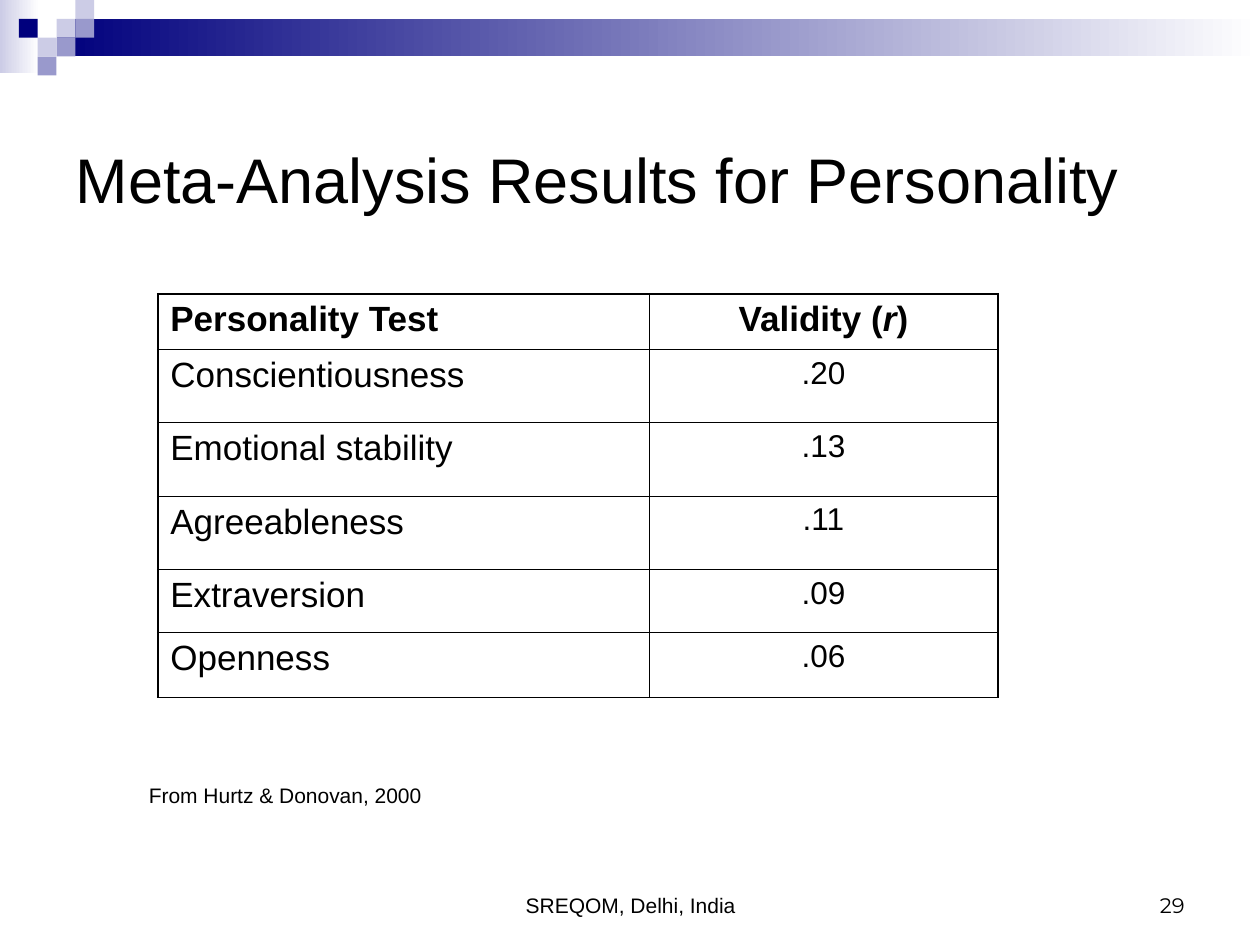
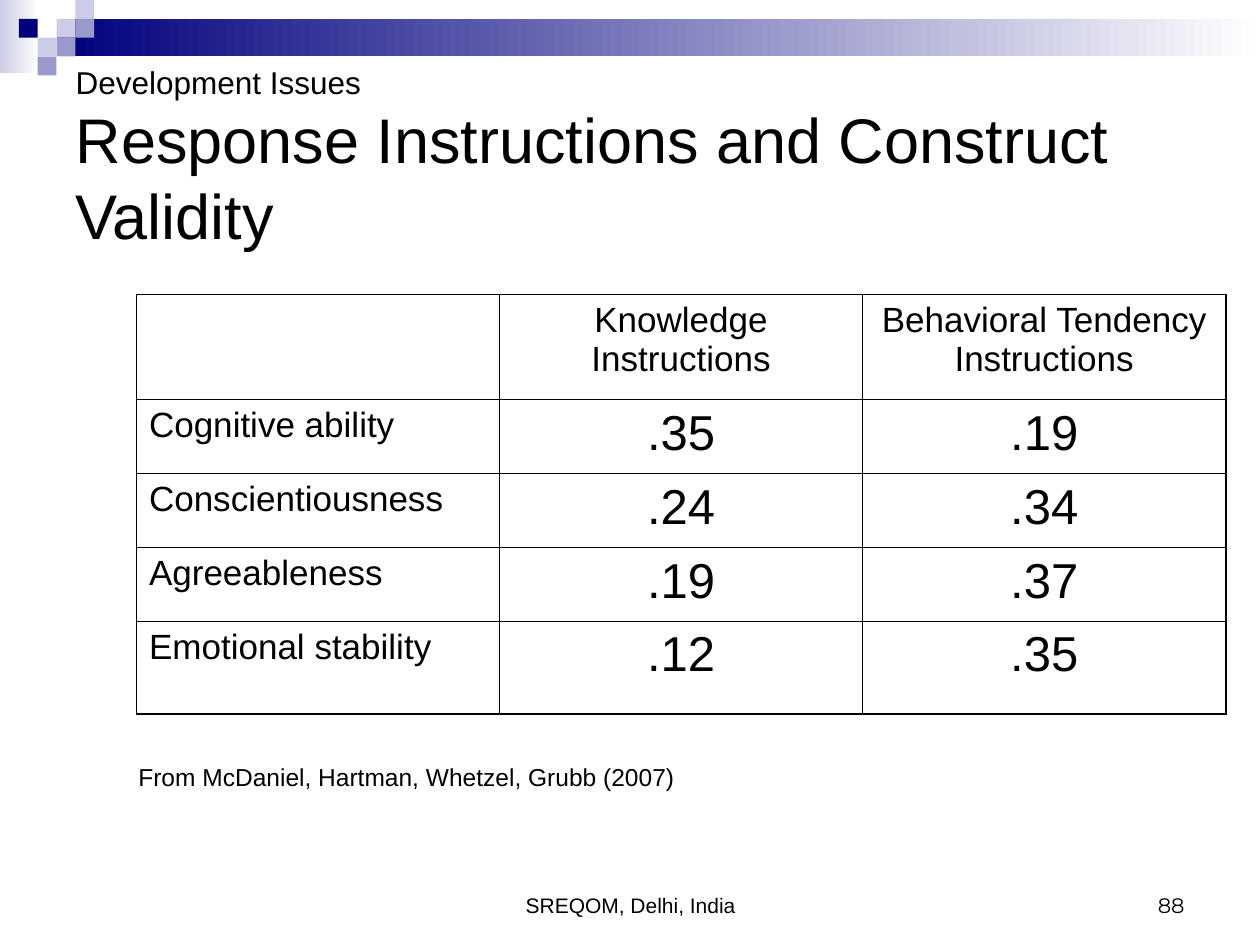
from lxml import etree
from pptx import Presentation
from pptx.dml.color import RGBColor
from pptx.enum.shapes import MSO_SHAPE
from pptx.enum.text import MSO_ANCHOR, MSO_AUTO_SIZE, PP_ALIGN
from pptx.oxml.ns import qn
from pptx.util import Cm, Pt

RECTANGLE = MSO_SHAPE.RECTANGLE
TOP, MIDDLE, BOTTOM = MSO_ANCHOR.TOP, MSO_ANCHOR.MIDDLE, MSO_ANCHOR.BOTTOM
LEFT, CENTER, RIGHT = PP_ALIGN.LEFT, PP_ALIGN.CENTER, PP_ALIGN.RIGHT
NO_AUTOFIT = MSO_AUTO_SIZE.NONE
TITLE_ONLY = 5

COLORS = {"ink": "000000", "paper": "FFFFFF", "navy": "00007D",
          "lavender": "9999CC", "pale": "CCCCE6"}
BODY_FONT, NUMBER_FONT = "Arial", "Montserrat"
SLIDE_WIDTH, SLIDE_HEIGHT = 25.4, 19.05
TILE = 0.38
# Column, row and colour of each tile, from back to front
TILES = [(3, 1, "pale"), (4, 0, "pale"), (4, 1, "lavender"), (2, 2, "pale"),
         (1, 1, "navy"), (3, 2, "lavender"), (2, 3, "lavender")]
THICK, THIN = 1.08, 0.45


def color(name):
    return RGBColor.from_string(COLORS[name])


def write(para, text, size=12, font=BODY_FONT, bold=False, italic=False,
          align=LEFT, before=0):
    """Add a run to a paragraph and set the paragraph's alignment and spacing."""
    para.alignment = align
    para.space_before = Pt(before)
    span = para.add_run()
    span.text = text
    span.font.size = Pt(size)
    span.font.name = font
    span.font.bold = bold
    span.font.italic = italic
    span.font.color.rgb = color("ink")


def add_text(page, box, text, anchor=TOP, **style):
    shape = page.shapes.add_textbox(*map(Cm, box))
    frame = shape.text_frame
    frame.word_wrap = True
    frame.vertical_anchor = anchor
    write(frame.paragraphs[0], text, **style)


def add_block(page, box, fill, fades=False):
    """Add a borderless rectangle, plain or fading to white on its right."""
    block = page.shapes.add_shape(RECTANGLE, *map(Cm, box))
    block.shadow.inherit = False
    block.line.fill.background()
    if fades:
        block.fill.gradient()
        block.fill.gradient_angle = 180
        for stop, name in zip(block.fill.gradient_stops, ("paper", fill)):
            stop.color.rgb = color(name)
    else:
        block.fill.solid()
        block.fill.fore_color.rgb = color(fill)


def add_header_band(page):
    add_block(page, (0, 0, 0.79, 1.47), "pale", fades=True)
    band_left = 3 * TILE
    add_block(page, (band_left, TILE, SLIDE_WIDTH - band_left, 2 * TILE),
              "navy", fades=True)
    for column, row, fill in TILES:
        add_block(page, (column * TILE, row * TILE, TILE, TILE), fill)


def add_title(page, box, title, kicker=None):
    shape = page.shapes.title
    shape.left, shape.top, shape.width, shape.height = map(Cm, box)
    frame = shape.text_frame
    frame.auto_size = NO_AUTOFIT
    frame.word_wrap = True
    frame.vertical_anchor = MIDDLE
    para = frame.paragraphs[0]
    if kicker:
        write(para, kicker, size=18)
        para.add_line_break()
    write(para, title, size=36)


def add_footer(page, number):
    top, height = 17.35, 1.27
    add_text(page, (8.69, top, 8.05, height), "SREQOM, Delhi, India",
             anchor=BOTTOM, align=CENTER)
    add_text(page, (18.21, top, 5.92, height), number,
             anchor=BOTTOM, align=RIGHT, font=NUMBER_FONT)


def set_borders(cell, widths):
    """Draw the left, right, top and bottom borders, in that order."""
    properties = cell._tc.get_or_add_tcPr()
    for index, (side, width) in enumerate(zip("LRTB", widths)):
        line = etree.Element(qn(f"a:ln{side}"), w=str(int(Pt(width))))
        fill = etree.SubElement(line, qn("a:solidFill"))
        etree.SubElement(fill, qn("a:srgbClr"), val=COLORS["ink"])
        properties.insert(index, line)


def add_validity_table(page, left, top, widths, heights, rows,
                       header_bold, value_size):
    """Add a framed table; a header given as a tuple has its second part italic."""
    frame = page.shapes.add_table(len(heights), len(widths), Cm(left), Cm(top),
                                  Cm(sum(widths)), Cm(sum(heights)))
    table = frame.table
    table.first_row = table.horz_banding = False
    for column, width in zip(table.columns, widths):
        column.width = Cm(width)
    last_row, last_column = len(heights) - 1, len(widths) - 1
    for r, (height, texts) in enumerate(zip(heights, rows)):
        table.rows[r].height = Cm(height)
        for c, text in enumerate(texts):
            cell = table.cell(r, c)
            cell.fill.background()
            edges = (c == 0, c == last_column, r == 0, r == last_row)
            set_borders(cell, [THICK if edge else THIN for edge in edges])
            size = value_size if r and c else 20
            parts = text if isinstance(text, tuple) else (text,)
            for index, part in enumerate(parts):
                if part:
                    write(cell.text_frame.paragraphs[0], part, size=size,
                          bold=header_bold and r == 0, italic=index == 1,
                          align=CENTER if c else LEFT, before=size / 4)


def add_page(deck, number, title_box, title, kicker=None):
    page = deck.slides.add_slide(deck.slide_layouts[TITLE_ONLY])
    add_header_band(page)
    add_title(page, title_box, title, kicker)
    add_footer(page, number)
    return page


def add_personality_page(deck):
    page = add_page(deck, "29", (1.27, 1.9, 23.06, 3.38),
                    "Meta-Analysis Results for Personality")
    rows = [("Personality Test", ("Validity (", "r", ")")),
            ("Conscientiousness", ".20"),
            ("Emotional stability", ".13"),
            ("Agreeableness", ".11"),
            ("Extraversion", ".09"),
            ("Openness", ".06")]
    add_validity_table(page, 3.18, 5.92, [9.9, 7.04],
                       [1.12, 1.48, 1.48, 1.48, 1.27, 1.31], rows,
                       header_bold=True, value_size=18)
    add_text(page, (2.75, 15.66, 9.96, 0.76), "From Hurtz & Donovan, 2000",
             before=7.5)


def add_instructions_page(deck):
    page = add_page(deck, "88", (1.27, 1.27, 22.86, 3.81),
                    "Response Instructions and Construct Validity",
                    kicker="Development Issues")
    rows = [("", "Knowledge Instructions", "Behavioral Tendency Instructions"),
            ("Cognitive ability", ".35", ".19"),
            ("Conscientiousness", ".24", ".34"),
            ("Agreeableness", ".19", ".37"),
            ("Emotional stability", ".12", ".35")]
    add_validity_table(page, 2.75, 5.94, [7.32] * 3,
                       [2.12, 1.49, 1.49, 1.48, 1.88], rows,
                       header_bold=False, value_size=28)
    add_text(page, (2.54, 15.24, 19.48, 1.47),
             "From McDaniel, Hartman, Whetzel, Grubb (2007)",
             size=14, before=3.5)


def main():
    deck = Presentation()
    deck.slide_width, deck.slide_height = Cm(SLIDE_WIDTH), Cm(SLIDE_HEIGHT)
    add_personality_page(deck)
    add_instructions_page(deck)
    deck.save("out.pptx")


if __name__ == "__main__":
    main()
